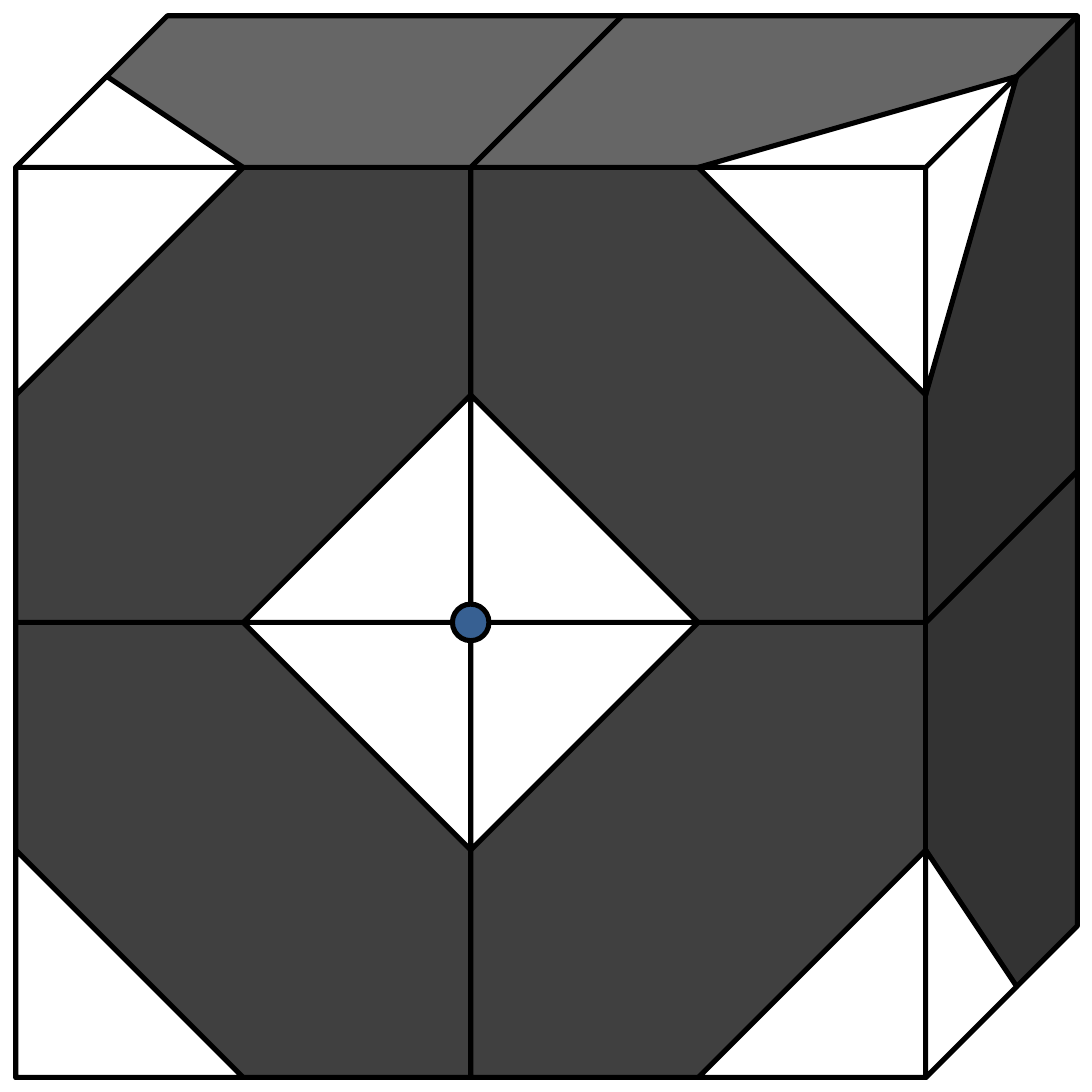
import pptx
import pptx.dml.color
import pptx.enum.shapes
import pptx.util

Cm = pptx.util.Cm
KIND = pptx.enum.shapes.MSO_SHAPE
GRAY = pptx.dml.color.RGBColor(0x40, 0x40, 0x40)
WHITE = pptx.dml.color.RGBColor(0xFF, 0xFF, 0xFF)
BLACK = pptx.dml.color.RGBColor(0x00, 0x00, 0x00)
BLUE = pptx.dml.color.RGBColor(0x37, 0x60, 0x92)

EDGE = 0.22         # slide margin
SIDE = 6.35         # front side of one cube
CUT = SIDE / 2      # leg of a cut corner on the front
DEEP = SIDE / 3     # how far a cube leans back
BACK = 1.27         # leg of a cut corner on the leaning edges
DOT = 0.51


def paint(shape, fill):
    shape.shadow.inherit = False
    shape.fill.solid()
    shape.fill.fore_color.rgb = fill
    shape.line.color.rgb = BLACK
    shape.line.width = pptx.util.Pt(2)


def draw(kind, left, top, size, fill, turn=0):
    """Add a preset shape in a square box, all lengths in centimetres."""
    shape = slide.shapes.add_shape(kind, Cm(left), Cm(top), Cm(size), Cm(size))
    shape.rotation = turn
    paint(shape, fill)


deck = pptx.Presentation()
deck.slide_width = deck.slide_height = Cm(15.24)
slide = deck.slides.add_slide(deck.slide_layouts[6])

# Front corners as column, row and turn; faces as points from the front's top left
rising = {
    "corners": [(1, 0, 180), (0, 1, 0)],
    "faces": [
        [(SIDE, 0), (SIDE + BACK, -BACK), (SIDE, CUT)],
        [(CUT, 0), (SIDE, 0), (SIDE + BACK, -BACK)],
    ],
}
falling = {
    "corners": [(0, 0, 90), (1, 1, 270)],
    "faces": [
        [(SIDE, CUT), (SIDE + BACK, SIDE - BACK), (SIDE, SIDE)],
        [(BACK, -BACK), (0, 0), (CUT, 0)],
    ],
}

# Back to front: lower row first, left before right
for col, row, cuts in [(0, 1, rising), (1, 1, falling),
                       (0, 0, falling), (1, 0, rising)]:
    left = EDGE + col * SIDE
    top = EDGE + row * SIDE
    front = top + DEEP
    draw(KIND.CUBE, left, top, SIDE + DEEP, GRAY)
    for across, down, turn in cuts["corners"]:
        draw(KIND.RIGHT_TRIANGLE, left + across * CUT, front + down * CUT,
             CUT, WHITE, turn)
    for face in cuts["faces"]:
        points = [(Cm(left + x), Cm(front + y)) for x, y in face]
        outline = slide.shapes.build_freeform(*points[0])
        outline.add_line_segments(points[1:], close=True)
        paint(outline.convert_to_shape(), WHITE)

# Dot where the four fronts meet
draw(KIND.OVAL, EDGE + SIDE - DOT / 2, EDGE + DEEP + SIDE - DOT / 2, DOT, BLUE)

deck.save("out.pptx")
